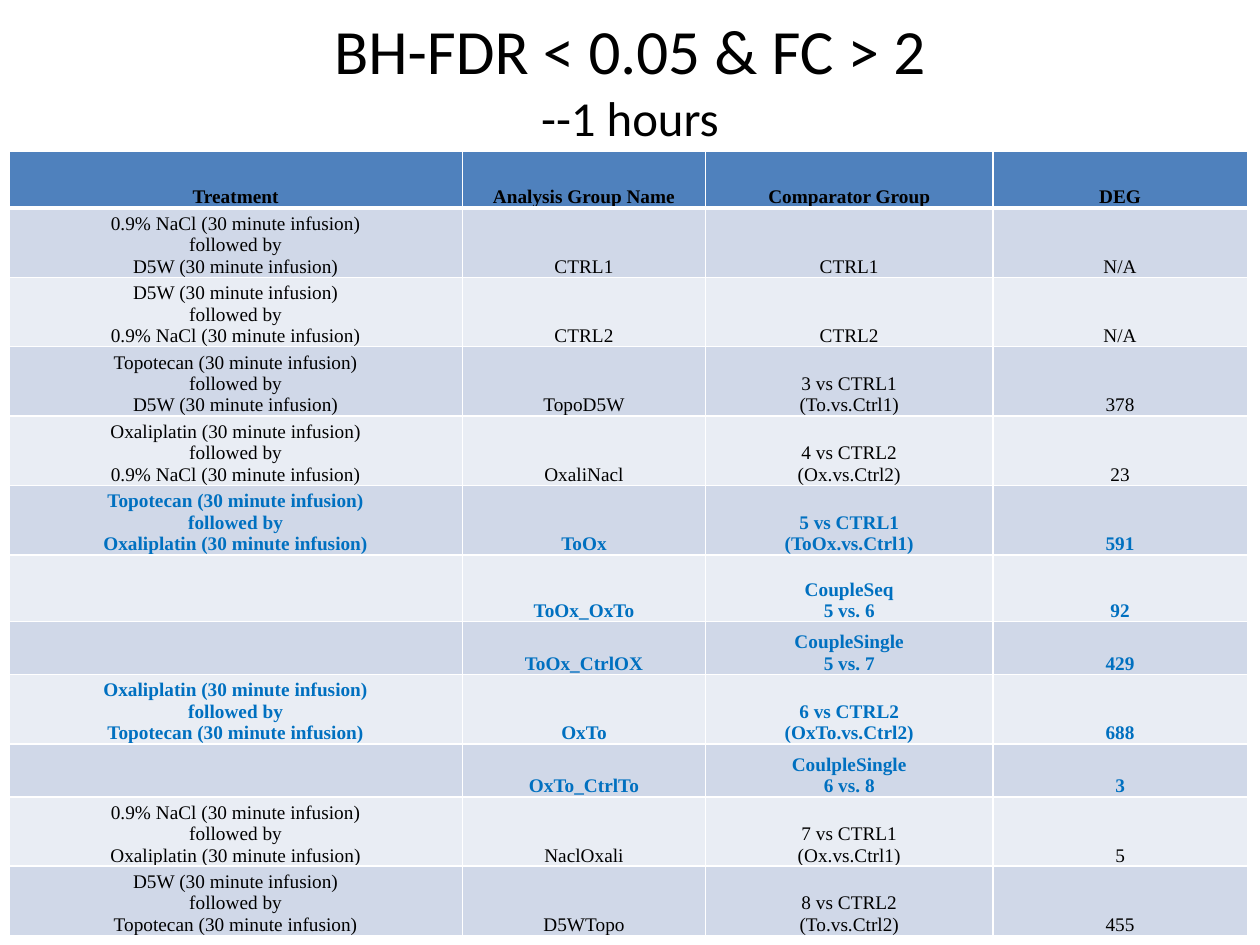
from lxml import etree
from pptx import Presentation
from pptx import util as u
from pptx.dml.color import RGBColor
from pptx.enum import text
from pptx.oxml import ns

BLACK = RGBColor(0x00, 0x00, 0x00)
WHITE = RGBColor(0xFF, 0xFF, 0xFF)
BLUE = RGBColor(0x00, 0x70, 0xC0)
HEADER_FILL = RGBColor(0x4F, 0x81, 0xBD)
BAND_FILLS = (RGBColor(0xD0, 0xD8, 0xE8), RGBColor(0xE9, 0xED, 0xF4))

TITLE_LINES = (("BH-FDR < 0.05 & FC > 2", 36), ("--1 hours", 27.9))
HEADERS = ("Treatment", "Analysis Group Name", "Comparator Group", "DEG")
SALINE, DEXTROSE = "0.9% NaCl", "D5W"
TOPO, OXALI = "Topotecan", "Oxaliplatin"

# (first and second infusion, group, comparator lines, DEG, highlighted)
GROUPS = (
    ((SALINE, DEXTROSE), "CTRL1", ("CTRL1",), "N/A", False),
    ((DEXTROSE, SALINE), "CTRL2", ("CTRL2",), "N/A", False),
    ((TOPO, DEXTROSE), "TopoD5W", ("3 vs CTRL1", "(To.vs.Ctrl1)"), "378", False),
    ((OXALI, SALINE), "OxaliNacl", ("4 vs CTRL2", "(Ox.vs.Ctrl2)"), "23", False),
    ((TOPO, OXALI), "ToOx", ("5 vs CTRL1", "(ToOx.vs.Ctrl1)"), "591", True),
    ((), "ToOx_OxTo", ("CoupleSeq", "5 vs. 6"), "92", True),
    ((), "ToOx_CtrlOX", ("CoupleSingle", "5 vs. 7"), "429", True),
    ((OXALI, TOPO), "OxTo", ("6 vs CTRL2", "(OxTo.vs.Ctrl2)"), "688", True),
    ((), "OxTo_CtrlTo", ("CoulpleSingle", "6 vs. 8"), "3", True),
    ((SALINE, OXALI), "NaclOxali", ("7 vs CTRL1", "(Ox.vs.Ctrl1)"), "5", False),
    ((DEXTROSE, TOPO), "D5WTopo", ("8 vs CTRL2", "(To.vs.Ctrl2)"), "455", False),
)
COLUMN_WIDTHS = (3.6, 1.93, 2.28, 2.02)
HEADER_HEIGHT, GROUP_HEIGHT, COUPLE_HEIGHT = 0.45, 0.53, 0.42
SHORT_GROUPS = ("ToOx_CtrlOX", "OxTo_CtrlTo")

GRID_BORDERS = {"a:lnL": 1, "a:lnR": 1, "a:lnT": 1, "a:lnB": 1}
HEADER_BORDERS = {**GRID_BORDERS, "a:lnB": 3}
FIRST_BORDERS = {**GRID_BORDERS, "a:lnT": 3}
CELL_FORMAT = {
    "vertical_anchor": text.MSO_ANCHOR.BOTTOM,
    "margin_left": u.Inches(0.07),
    "margin_right": u.Inches(0.07),
    "margin_top": 0,
    "margin_bottom": 0,
}


def treatment_lines(infusions):
    if not infusions:
        return ("",)
    first, second = (f"{agent} (30 minute infusion)" for agent in infusions)
    return (first, "followed by", second)


def style_font(font, name, size, color, bold=False):
    font.name, font.size, font.bold = name, u.Pt(size), bold
    font.color.rgb = color


def add_borders(cell, borders):
    """Draw white cell edges; call before filling, as edges precede the fill."""
    properties = cell._tc.get_or_add_tcPr()
    for edge, width in borders.items():
        line = etree.SubElement(properties, ns.qn(edge), w=str(u.Pt(width)))
        fill = etree.SubElement(line, ns.qn("a:solidFill"))
        etree.SubElement(fill, ns.qn("a:srgbClr"), val=str(WHITE))


def fill_cell(cell, lines, fill, color, bold, borders):
    for attribute, value in CELL_FORMAT.items():
        setattr(cell, attribute, value)
    add_borders(cell, borders)
    cell.fill.solid()
    cell.fill.fore_color.rgb = fill
    cell.text = "\n".join(lines)
    for paragraph in cell.text_frame.paragraphs:
        paragraph.alignment = text.PP_ALIGN.CENTER
        style_font(paragraph.font, "Times New Roman", 11, color, bold)
        for run in paragraph.runs:
            style_font(run.font, "Times New Roman", 11, color, bold)


def add_title(slide):
    frame = slide.shapes.add_textbox(
        u.Inches(0.5), 0, u.Inches(9), u.Inches(1.25)).text_frame
    frame.word_wrap = True
    frame.vertical_anchor = text.MSO_ANCHOR.MIDDLE
    heading = frame.paragraphs[0]
    heading.alignment = text.PP_ALIGN.CENTER
    for index, (line, size) in enumerate(TITLE_LINES):
        if index:
            heading.add_line_break()
        run = heading.add_run()
        run.text = line
        style_font(run.font, "Calibri", size, BLACK)


def add_group_table(slide):
    heights = [HEADER_HEIGHT] + [
        COUPLE_HEIGHT if group[1] in SHORT_GROUPS else GROUP_HEIGHT
        for group in GROUPS]
    table = slide.shapes.add_table(
        len(heights), len(HEADERS), u.Inches(0.07), u.Inches(1.2),
        u.Inches(sum(COLUMN_WIDTHS)), u.Inches(sum(heights))).table
    for column, width in zip(table.columns, COLUMN_WIDTHS):
        column.width = u.Inches(width)
    for row, height in zip(table.rows, heights):
        row.height = u.Inches(height)

    for column, header in enumerate(HEADERS):
        fill_cell(table.cell(0, column), (header,), HEADER_FILL, BLACK, True,
                  HEADER_BORDERS)
    for index, (infusions, name, comparator, deg, highlighted) in enumerate(GROUPS):
        contents = (treatment_lines(infusions), (name,), comparator, (deg,))
        for column, lines in enumerate(contents):
            fill_cell(table.cell(index + 1, column), lines, BAND_FILLS[index % 2],
                      BLUE if highlighted else BLACK, highlighted,
                      GRID_BORDERS if index else FIRST_BORDERS)


def main():
    deck = Presentation()
    deck.slide_width, deck.slide_height = u.Inches(10), u.Inches(7.5)
    slide = deck.slides.add_slide(deck.slide_layouts[6])
    add_title(slide)
    add_group_table(slide)
    deck.save("out.pptx")


if __name__ == "__main__":
    main()
